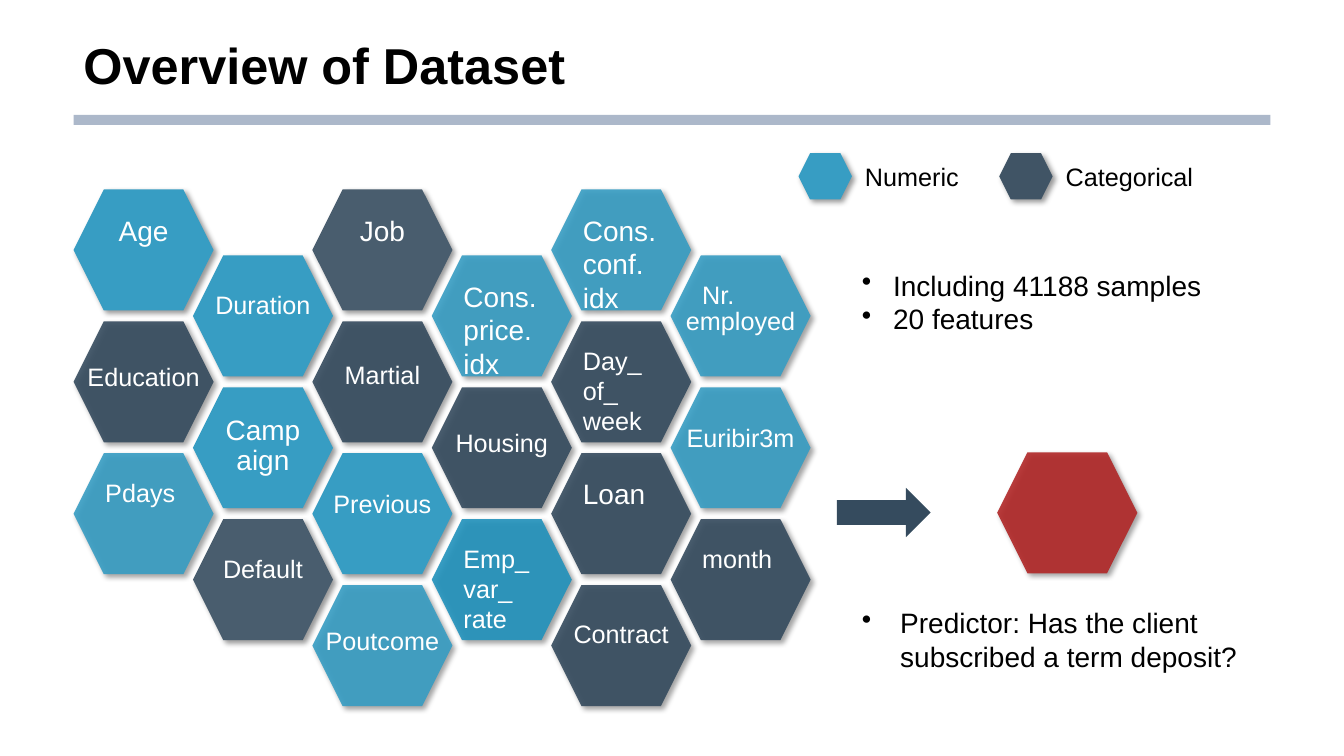
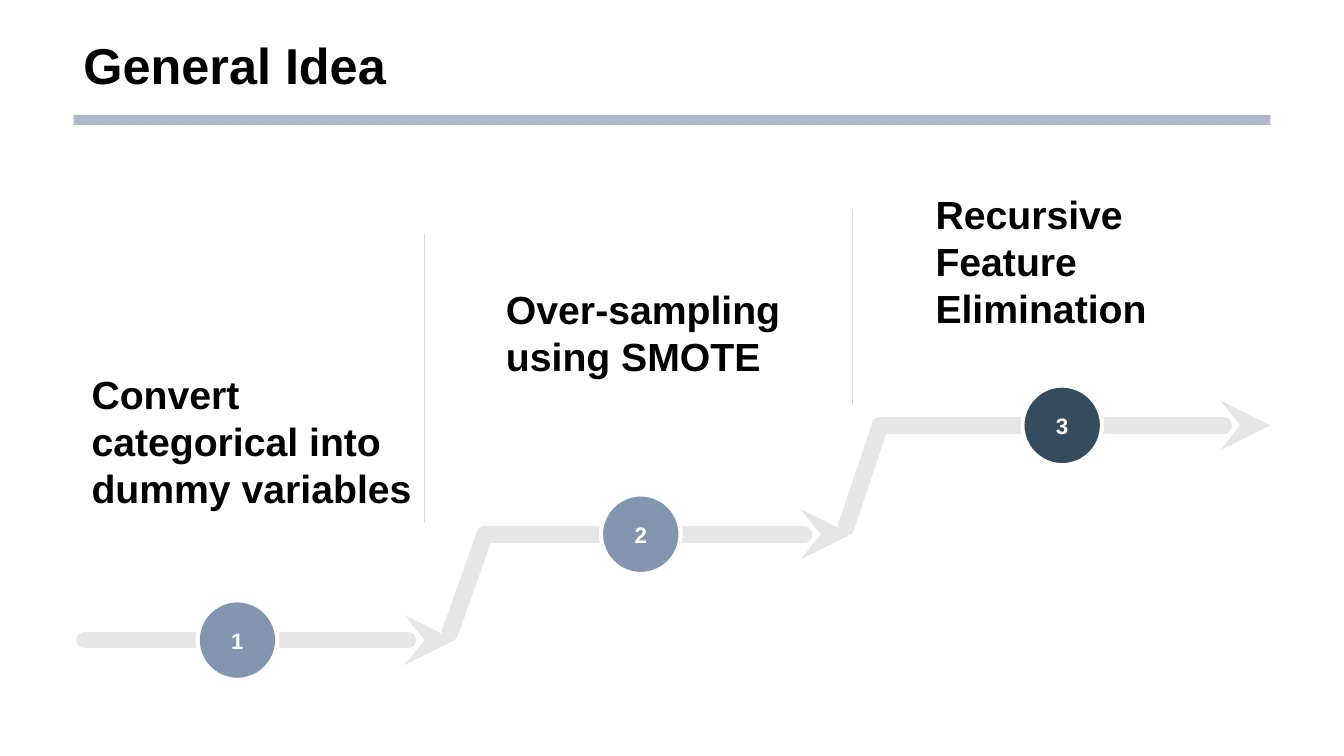
from pptx import Presentation
from pptx.dml.color import RGBColor
from pptx.enum.shapes import MSO_CONNECTOR, MSO_SHAPE
from pptx.enum.text import MSO_ANCHOR, PP_ALIGN
from pptx.oxml.ns import qn
from pptx.util import Inches, Pt
from lxml.etree import SubElement

WIDE, HIGH = 13.33, 7.5
LEFT, SPAN = 0.73, 11.87
FONT = "Arial"
BLACK, WHITE = "000000", "FFFFFF"
BAND, NAVY, SLATE, RED = "ACB8CA", "354B5E", "8296B0", "B12727"
TRACK, RULE = "E7E6E6", "D8D8D8"
BLUE, DARK = "379DC3", "405465"
HUES = {
    "blue": (BLUE, 100),
    "haze": (BLUE, 90),
    "deep": ("2192BC", 90),
    "navy": (NAVY, 90),
    "grey": ("495D6E", 100),
}
MID = {"align": PP_ALIGN.CENTER, "wrap": False}
CELLS = [
    [("Age", "blue", 20, 0.05, MID),
     ("Education", "navy", 18, 0.21, MID),
     ("Pdays", "haze", 18, 0.05, {})],
    [("Duration", "blue", 18, 0.15, MID),
     ("Campaign", "blue", 20, 0.1, {"align": PP_ALIGN.CENTER, "lead": 0.9}),
     ("Default", "grey", 18, 0.15, MID)],
    [("Job", "grey", 20, 0.05, MID),
     ("Martial", "navy", 18, 0.19, MID),
     ("Previous", "blue", 18, 0.16, MID),
     ("Poutcome", "haze", 18, 0.21, MID)],
    [("Cons.price.\nidx", "haze", 20, 0.05, {}),
     ("Housing", "navy", 18, 0.21, MID),
     ("Emp_var_\nrate", "deep", 18, 0.05, {})],
    [("Cons.conf.\nidx", "haze", 20, 0.05, {}),
     ("Day_\nof_\nweek", "navy", 18, 0.05, {}),
     ("Loan", "navy", 20, 0.05, {}),
     ("Contract", "navy", 18, 0.14, MID)],
    [("Nr.", "haze", 18, 0.05, {}),
     ("Euribir3m", "haze", 18, 0.16, MID),
     ("month", "navy", 18, 0.05, {})],
]
STEPS = [
    (0.93, 31.84, 90.2, 13.69, SLATE, (0.67, 35.6, 29.65, 30.2),
     "Convert categorical into dummy variables"),
    (34.37, 64.95, 69.2, 47.39, SLATE, (35.3, 18.8, 28.05, 20.8),
     "Over-sampling using SMOTE"),
    (67.4, 100, 47.6, 82.6, NAVY, (71.19, 0, 28.05, 30.2),
     "Recursive Feature Elimination"),
]
WALLS = [(29.32, 9.6, 66.8), (65.12, 5, 43.4)]


def tint(code):
    """Turn a hex string into a colour."""
    return RGBColor.from_string(code)


def put(item, **form):
    """Set each format value on an object."""
    for name, value in form.items():
        setattr(item, name, value)


def part(box, x, y, w=0, h=0):
    """Return a sub-box given in percent of a box."""
    left, top, wide, high = box
    return (left + wide * x / 100, top + high * y / 100,
            wide * w / 100, high * h / 100)


def write(shape, text, size, color=BLACK, bold=False, top=0.05, wrap=True,
          align=PP_ALIGN.LEFT, lead=1.0, anchor=MSO_ANCHOR.TOP, hang=0):
    """Fill a shape with styled paragraphs, bulleted if hang is set."""
    frame = shape.text_frame
    put(frame, text=text, word_wrap=wrap, vertical_anchor=anchor,
        margin_left=Inches(0.1), margin_right=Inches(0.1),
        margin_top=Inches(top), margin_bottom=Inches(0.05))
    for para in frame.paragraphs:
        put(para, alignment=align, line_spacing=lead)
        put(para.font, name=FONT, size=Pt(size), bold=bold)
        para.font.color.rgb = tint(color)
        if hang:
            props = para._p.get_or_add_pPr()
            props.set("marL", str(Inches(hang)))
            props.set("indent", str(-Inches(hang)))
            bullet = SubElement(props, qn("a:buChar"))
            bullet.set("char", "•")
            props.insert_element_before(bullet, "a:tabLst", "a:defRPr")


def note(slide, box, text, size, **form):
    """Add a text box."""
    shape = slide.shapes.add_textbox(*map(Inches, box))
    write(shape, text, size, **form)


def draw(slide, kind, box, color, alpha=100):
    """Add a plain filled shape without line or shadow."""
    shape = slide.shapes.add_shape(kind, *map(Inches, box))
    shape.shadow.inherit = False
    shape.fill.solid()
    shape.fill.fore_color.rgb = tint(color)
    shape.line.fill.background()
    if alpha < 100:
        node = shape._element.spPr.find(".//" + qn("a:srgbClr"))
        SubElement(node, qn("a:alpha")).set("val", str(alpha * 1000))
    return shape


def hexa(slide, box, color, alpha=100):
    """Add a hexagon with a soft shadow."""
    shape = draw(slide, MSO_SHAPE.HEXAGON, box, color, alpha)
    glow = shape._element.spPr.find(qn("a:effectLst"))
    cast = SubElement(glow, qn("a:outerShdw"), blurRad=str(Pt(4)),
                      dist=str(Pt(3)), dir="2700000", algn="tl", rotWithShape="0")
    shade = SubElement(cast, qn("a:srgbClr"), val=BLACK)
    SubElement(shade, qn("a:alpha"), val="40000")
    return shape


def link(slide, start, end, color, width, head=False):
    """Add a line, with an arrowhead on request."""
    ends = map(Inches, (*start[:2], *end[:2]))
    line = slide.shapes.add_connector(MSO_CONNECTOR.STRAIGHT, *ends)
    line.line.color.rgb = tint(color)
    line.line.width = Pt(width)
    props = line._element.spPr
    stroke = props.find(qn("a:ln"))
    stroke.set("cap", "rnd")
    if head:
        SubElement(stroke, qn("a:tailEnd"), type="stealth")
    SubElement(props, qn("a:effectLst"))


def begin(deck, title):
    """Add a blank slide with title and band."""
    slide = deck.slides.add_slide(deck.slide_layouts[6])
    draw(slide, MSO_SHAPE.RECTANGLE, (LEFT, 1.14, SPAN, 0.1), BAND)
    note(slide, (LEFT, 0, SPAN, 1), title, 36, bold=True, lead=0.9,
         anchor=MSO_ANCHOR.BOTTOM)
    return slide


def comb(slide, box):
    """Place the feature hexagons as a honeycomb."""
    for col, cells in enumerate(CELLS):
        for row, (text, hue, size, top, form) in enumerate(cells):
            y = 25.5 * row + 12.75 * (col % 2)
            cell = part(box, 16.2 * col, y, 19, 23.4)
            shape = hexa(slide, cell, *HUES[hue])
            write(shape, text, size, WHITE, top=top, **form)
    note(slide, part(box, 81, 21.5, 19, 7), "employed", 18, color=WHITE, **MID)


def legend(slide, box):
    """Place the two colour keys."""
    for x, color, text in ((0, BLUE, "Numeric"), (46.4, DARK, "Categorical")):
        hexa(slide, part(box, x, 0, 12.35, 100), color)
        note(slide, part(box, x + 13.05, 6, 40, 88), text, 18)


def goal(slide, box):
    """Place the facts, the arrow, the target and its caption."""
    note(slide, part(box, 3, 0, 96, 19),
         "Including 41188 samples\n20 features", 20, hang=0.31)
    draw(slide, MSO_SHAPE.RIGHT_ARROW, part(box, 0, 54.1, 18.6, 11.9), NAVY)
    hexa(slide, part(box, 31.8, 45.6, 27.8, 29.1), RED, 90)
    note(slide, part(box, 3, 81.3, 88.6, 18.7),
         "Predictor: Has the client subscribed a term deposit?", 20, hang=0.38)


def stairs(slide, box):
    """Place the numbered steps on a rising track."""
    for last, step in zip(STEPS, STEPS[1:]):
        link(slide, part(box, step[0], step[2]),
             part(box, last[1] - 0.4, last[2] - 1.4), TRACK, 12)
    for start, end, y, *_ in STEPS:
        link(slide, part(box, start, y), part(box, end, y), TRACK, 12, True)
    for x, top, base in WALLS:
        link(slide, part(box, x, top), part(box, x, base), RULE, 0.75)
    size = 0.79
    for num, (_, _, y, mid, color, area, text) in enumerate(STEPS, 1):
        x, y = part(box, mid, y)[:2]
        spot = (x - size / 2, y - size / 2, size, size)
        disc = draw(slide, MSO_SHAPE.OVAL, spot, color)
        disc.line.color.rgb = tint(WHITE)
        disc.line.width = Pt(3)
        write(disc, str(num), 16, WHITE, True, align=PP_ALIGN.CENTER,
              anchor=MSO_ANCHOR.MIDDLE)
        note(slide, part(box, *area), text, 28, bold=True)


def main():
    """Build and save the deck."""
    deck = Presentation()
    put(deck, slide_width=Inches(WIDE), slide_height=Inches(HIGH))
    data = begin(deck, "Overview of Dataset")
    comb(data, (LEFT, 1.88, 7.31, 5.13))
    legend(data, (7.92, 1.52, 4.29, 0.46))
    goal(data, (8.3, 2.61, 5, 4.12))
    idea = begin(deck, "General Idea")
    stairs(idea, (LEFT, 1.84, SPAN, 5))
    deck.save("out.pptx")


if __name__ == "__main__":
    main()
